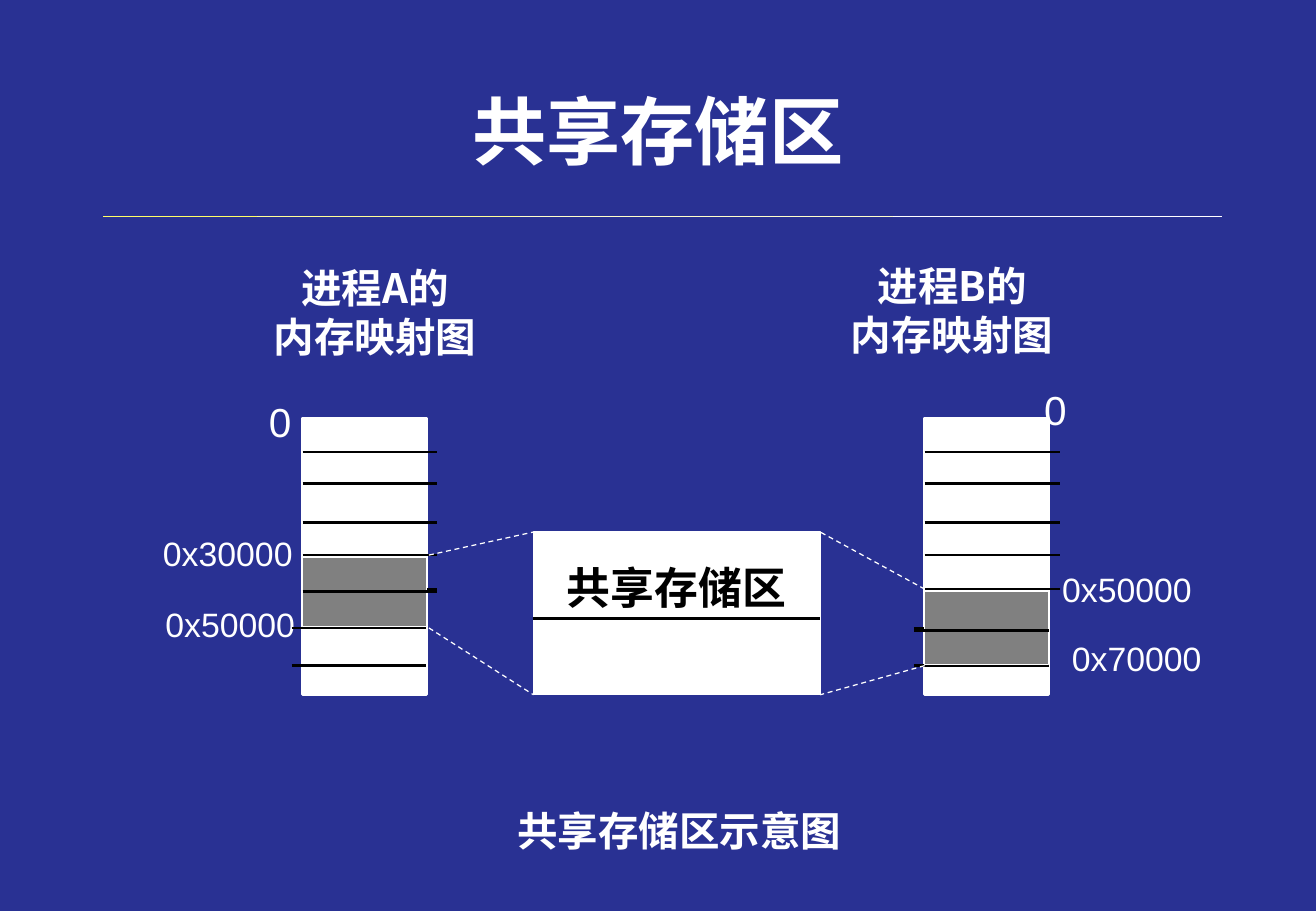
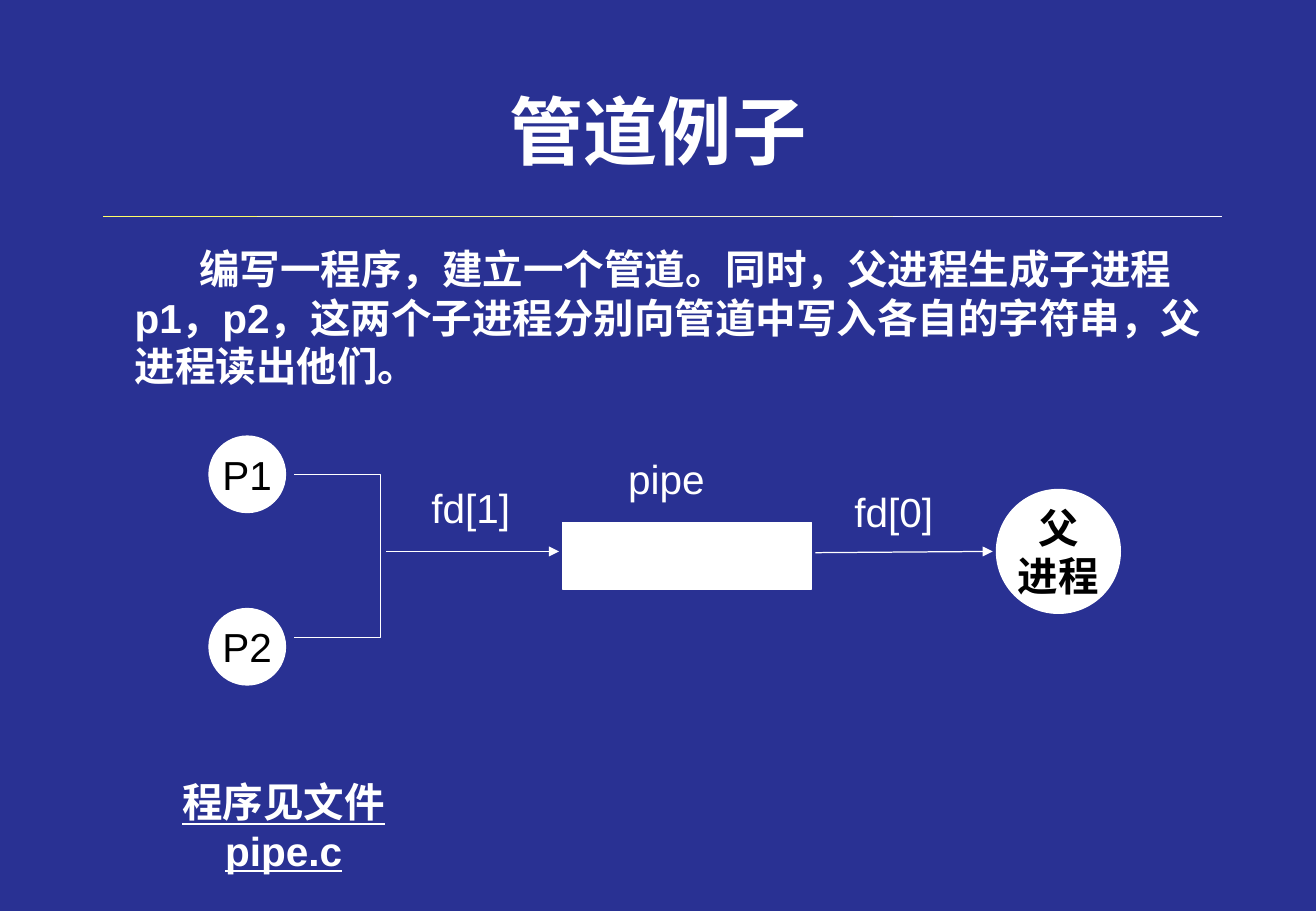
import pptx
import pptx.dml.color
import pptx.enum.dml
import pptx.enum.shapes
import pptx.enum.text
import pptx.oxml
import pptx.oxml.ns
import pptx.util
from lxml import etree

RGBColor = pptx.dml.color.RGBColor
Inches = pptx.util.Inches
Pt = pptx.util.Pt
SHAPE = pptx.enum.shapes.MSO_SHAPE
ALIGN = pptx.enum.text.PP_ALIGN
ANCHOR = pptx.enum.text.MSO_ANCHOR

NAVY = RGBColor(0x29, 0x31, 0x93)
WHITE = RGBColor(0xFF, 0xFF, 0xFF)
BLACK = RGBColor(0, 0, 0)
GREY = RGBColor(0x80, 0x80, 0x80)
CREAM = RGBColor(0xFF, 0xFF, 0xCC)
PALE_YELLOW = RGBColor(0xFF, 0xFF, 0x99)
YELLOW = RGBColor(0xFF, 0xFF, 0x66)
LATIN, CHINESE = "Arial", "Noto Sans CJK SC"

# Title rule: start and end columns of each stroke, drawn from right to left
RULE_LEFT, RULE_TOP, RULE_COLUMN = 0.85, 1.78, 9.21 / 51
RULE_STROKES = [
    (48, 51, WHITE), (42, 48, WHITE), (36, 42, WHITE),
    (30, 36, CREAM), (24, 30, CREAM), (18, 24, CREAM),
    (14, 19, PALE_YELLOW), (11, 16, PALE_YELLOW), (8, 13, PALE_YELLOW),
    (5, 10, PALE_YELLOW), (2, 7, YELLOW), (0, 4, YELLOW),
]

# Memory maps: labels are (text, left, top, width, height, size)
MAP_TOP, MAP_WIDTH, MAP_HEIGHT = 3.44, 1.02, 2.28
TICKS = [3.72, 3.98, 4.3, 4.57, 4.85, 5.17, 5.48]
LEFT_TICKS_FROM, TICK_OVERHANG = 5, 0.09
MEMORY_MAPS = [
    {"left": 2.49, "heading": ["进程A的", "内存映射图"], "heading_at": (2.09, 2.12),
     "shared_from": 3,
     "labels": [("0", 2.11, 3.22, 0.39, 0.5, 24),
                ("0x30000", 1.24, 4.34, 1.27, 0.43, 20),
                ("0x50000", 1.26, 4.92, 1.27, 0.43, 20)]},
    {"left": 7.61, "heading": ["进程B的", "内存映射图"], "heading_at": (6.84, 2.1),
     "shared_from": 4,
     "labels": [("0", 8.49, 3.12, 0.39, 0.5, 24),
                ("0x50000", 8.64, 4.63, 1.27, 0.43, 20),
                ("0x70000", 8.72, 5.2, 1.27, 0.43, 20)]},
]
SHARED_BOX = (4.39, 4.38, 2.36, 1.34)

# Pipe example
TASK = ("编写一程序，建立一个管道。同时，父进程生成子进程p1，p2，"
        "这两个子进程分别向管道中写入各自的字符串，父进程读出他们。")
PROCESSES = [
    (["P1"], 1.72, 3.59, 0.63, False),
    (["P2"], 1.72, 5.01, 0.63, False),
    (["父", "进程"], 8.2, 4.03, 1.02, True),
]
PIPE_LABELS = [("fd[1]", 3.45, 3.93), ("fd[0]", 6.93, 3.96), ("pipe", 5.06, 3.69)]
BRACKET = [(2.42, 3.91), (3.13, 3.91), (3.13, 5.25), (2.42, 5.25)]
ARROWS = [(3.18, 4.54, 4.6, 4.54), (6.71, 4.55, 8.17, 4.54)]


def write(shape, lines, size, color=WHITE, font=LATIN, bold=False,
          align=ALIGN.CENTER, wrap=False, underline=None):
    """Fill a shape with one paragraph per line, all in the same style."""
    frame = shape.text_frame
    frame.word_wrap = wrap
    frame.text = "\n".join(lines)
    for paragraph in frame.paragraphs:
        paragraph.alignment = align
        paragraph.font.size = Pt(size)
        paragraph.font.bold = bold
        paragraph.font.underline = underline
        paragraph.font.color.rgb = color
        paragraph.font.name = font
        east_asian = etree.SubElement(paragraph.font._rPr, pptx.oxml.ns.qn("a:ea"))
        east_asian.set("typeface", CHINESE)
    return frame


def add_text(slide, lines, left, top, width, height, size, **style):
    """Add a text box and return its text frame."""
    box = slide.shapes.add_textbox(*map(Inches, (left, top, width, height)))
    return write(box, lines, size, **style)


def add_block(slide, kind, left, top, width, height, fill=WHITE, weight=0.75):
    """Add a filled shape with a white outline."""
    shape = slide.shapes.add_shape(kind, *map(Inches, (left, top, width, height)))
    shape.shadow.inherit = False
    shape.fill.solid()
    shape.fill.fore_color.rgb = fill
    shape.line.color.rgb = WHITE
    shape.line.width = Pt(weight)
    shape.text_frame.vertical_anchor = ANCHOR.MIDDLE
    return shape


def add_line(slide, x1, y1, x2, y2, color=WHITE, weight=0.75, dash=False, arrow=False):
    """Add a straight line, dashed or ending in an arrowhead if asked."""
    line = slide.shapes.add_connector(
        pptx.enum.shapes.MSO_CONNECTOR.STRAIGHT, *map(Inches, (x1, y1, x2, y2)))
    line.line.color.rgb = color
    line.line.width = Pt(weight)
    if dash:
        line.line.dash_style = pptx.enum.dml.MSO_LINE.DASH
    properties = line._element.spPr
    if arrow:
        outline = properties.find(pptx.oxml.ns.qn("a:ln"))
        etree.SubElement(outline, pptx.oxml.ns.qn("a:tailEnd")).set("type", "triangle")
    etree.SubElement(properties, pptx.oxml.ns.qn("a:effectLst"))


def add_slide(presentation, title):
    """Add a blank slide with the shared title and rule."""
    slide = presentation.slides.add_slide(presentation.slide_layouts[6])
    slide.background.fill.solid()
    slide.background.fill.fore_color.rgb = NAVY
    for start, end, color in RULE_STROKES:
        add_line(slide, RULE_LEFT + start * RULE_COLUMN, RULE_TOP,
                 RULE_LEFT + end * RULE_COLUMN, RULE_TOP, color)
    frame = add_text(slide, [title], 0.81, 0.44, 9.21, 1.25, 44,
                     font=CHINESE, bold=True, wrap=True)
    frame.vertical_anchor = ANCHOR.MIDDLE
    return slide


def add_tick(slide, left, index, shift=0):
    """Draw one memory boundary; the lower ones stick out to the left."""
    if index >= LEFT_TICKS_FROM:
        left -= TICK_OVERHANG
    top = TICKS[index] + shift
    add_line(slide, left, top, left + MAP_WIDTH + TICK_OVERHANG, top, BLACK, 1.5)


def add_memory_map(slide, memory):
    """Draw a process's memory with its heading, addresses and shared part."""
    left, first = memory["left"], memory["shared_from"]
    add_text(slide, memory["heading"], *memory["heading_at"], 1.99, 0.9, 24,
             font=CHINESE, bold=True, wrap=True)
    for text, *place in memory["labels"]:
        add_text(slide, [text], *place)
    add_block(slide, SHAPE.RECTANGLE, left, MAP_TOP, MAP_WIDTH, MAP_HEIGHT, weight=1.5)
    for index in range(len(TICKS)):
        add_tick(slide, left, index)
    add_block(slide, SHAPE.RECTANGLE, left, TICKS[first] + 0.02, MAP_WIDTH,
              TICKS[first + 2] - TICKS[first] - 0.03, GREY)
    add_tick(slide, left, first + 1, 0.02)


def build_shared_memory(presentation):
    """Two memory maps joined to one shared area."""
    slide = add_slide(presentation, "共享存储区")
    for memory in MEMORY_MAPS:
        add_memory_map(slide, memory)

    left, top, width, height = SHARED_BOX
    right, bottom = left + width, top + height
    shared = add_block(slide, SHAPE.RECTANGLE, *SHARED_BOX)
    frame = write(shared, ["共享存储区"], 26, color=BLACK, bold=True)
    frame.margin_bottom = Inches(0.48)
    middle = top + 0.53 * height
    add_line(slide, left, middle, right, middle, BLACK, 1.5)

    map_a, map_b = MEMORY_MAPS
    for memory, map_edge, box_edge in (
            (map_a, map_a["left"] + MAP_WIDTH + 0.02, left),
            (map_b, map_b["left"], right)):
        first = memory["shared_from"]
        for tick, corner in ((first, top), (first + 2, bottom)):
            add_line(slide, map_edge, TICKS[tick], box_edge, corner, dash=True)
    add_text(slide, ["共享存储区示意图"], 4.15, 6.59, 2.88, 0.5, 24, bold=True)


def build_pipe_example(presentation):
    """Two child processes writing through a pipe to their parent."""
    slide = add_slide(presentation, "管道例子")
    for lines, left, top, size, bold in PROCESSES:
        circle = add_block(slide, SHAPE.OVAL, left, top, size, size)
        write(circle, lines, 24, color=BLACK, bold=bold)

    builder = slide.shapes.build_freeform(*map(Inches, BRACKET[0]), scale=1.0)
    builder.add_line_segments(
        [(Inches(x), Inches(y)) for x, y in BRACKET[1:]], close=False)
    bracket = builder.convert_to_shape()
    bracket.shadow.inherit = False
    bracket.fill.background()
    bracket.line.color.rgb = WHITE
    bracket.line.width = Pt(0.75)

    add_block(slide, SHAPE.RECTANGLE, 4.63, 4.3, 2.05, 0.55)
    for arrow in ARROWS:
        add_line(slide, *arrow, arrow=True)
    for text, left, top in PIPE_LABELS:
        add_text(slide, [text], left, top, 0.85, 0.5, 24)
    add_text(slide, ["程序见文件pipe.c"], 1.4, 6.35, 1.87, 0.9, 24,
             bold=True, wrap=True, underline=True)
    frame = add_text(slide, [TASK], 1.01, 1.96, 9.14, 1.3, 24,
                     bold=True, align=ALIGN.LEFT, wrap=True)
    indent = frame.paragraphs[0]._p.get_or_add_pPr()
    indent.set("indent", str(Inches(0.53)))


presentation = pptx.Presentation()
presentation.slide_width = Inches(10.83)
presentation.slide_height = Inches(7.5)
build_shared_memory(presentation)
build_pipe_example(presentation)
presentation.save("out.pptx")
